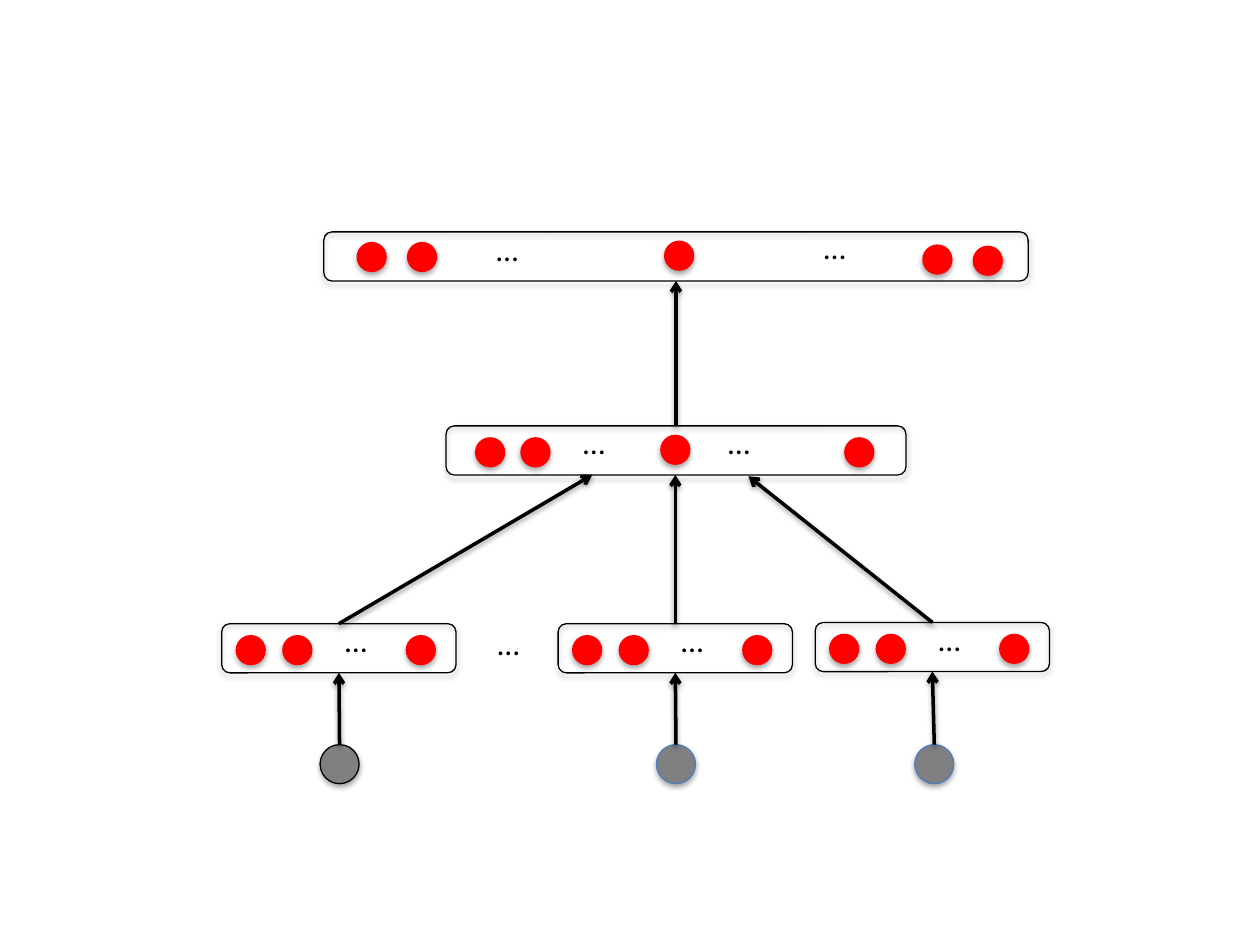
from lxml import etree
from pptx import Presentation
from pptx.dml.color import RGBColor
from pptx.enum.shapes import MSO_CONNECTOR, MSO_SHAPE
from pptx.enum.text import MSO_AUTO_SIZE
from pptx.oxml.ns import qn
from pptx.util import Inches, Pt

ROUNDED, OVAL = MSO_SHAPE.ROUNDED_RECTANGLE, MSO_SHAPE.OVAL
STRAIGHT = MSO_CONNECTOR.STRAIGHT
GROW = MSO_AUTO_SIZE.SHAPE_TO_FIT_TEXT

COLORS = {"ink": "000000", "unit": "FF0000", "input": "808080", "rim": "4B7EBC"}
LAYER_H, UNIT, INPUT = 0.39, 0.24, 0.31
DOTS_W, DOTS_H = 0.38, 0.4
INPUT_TOP = 5.91

# Offsets (x, y) of units and ellipses from the layer's left top corner
WORD_UNITS = [(0.11, 0.09), (0.48, 0.09), (1.46, 0.09)]
WORD_DOTS = [(0.88, -0.07)]
WORD_W = 1.86
WORDS = [  # layer left, layer top, input left, input rim, arrow end above
    (1.76, 4.95, 2.54, "ink", (4.7, 3.77)),
    (4.43, 4.95, 5.21, "rim", (5.36, 3.77)),
    (6.47, 4.94, 7.26, "rim", (5.94, 3.78)),
]
HIDDEN = (3.54, 3.38, 3.65,
          [(0.23, 0.09), (0.59, 0.09), (1.7, 0.07), (3.16, 0.09)],
          [(0.99, -0.07), (2.14, -0.07)])
OUTPUT = (2.57, 1.84, 5.59,
          [(0.26, 0.08), (0.66, 0.08), (2.7, 0.07), (4.75, 0.1), (5.15, 0.11)],
          [(1.27, -0.06), (3.87, -0.08)])
BETWEEN_WORDS = (3.85, 4.9)

prs = Presentation()
prs.slide_width, prs.slide_height = Inches(10), Inches(7.5)
s = prs.slides.add_slide(prs.slide_layouts[6])


def rgb(name):
    return RGBColor.from_string(COLORS[name])


def add_shadow(sp, dist, opacity):
    effects = etree.SubElement(sp._element.spPr, qn("a:effectLst"))
    shadow = etree.SubElement(effects, qn("a:outerShdw"), blurRad=str(Pt(3.1)),
                              dist=str(Pt(dist)), dir="5400000", rotWithShape="0")
    color = etree.SubElement(shadow, qn("a:srgbClr"), val=COLORS["ink"])
    etree.SubElement(color, qn("a:alpha"), val=str(opacity * 1000))


def add_figure(kind, x, y, w, h, fill=None, line=None):
    sp = s.shapes.add_shape(kind, Inches(x), Inches(y), Inches(w), Inches(h))
    if fill:
        sp.fill.solid()
        sp.fill.fore_color.rgb = rgb(fill)
    else:
        sp.fill.background()
    if line:
        sp.line.color.rgb = rgb(line)
        sp.line.width = Pt(0.75)
    else:
        sp.line.fill.background()
    add_shadow(sp, 1.8, 35)


def add_dots(x, y):
    box = s.shapes.add_textbox(Inches(x), Inches(y), Inches(DOTS_W), Inches(DOTS_H))
    tf = box.text_frame
    tf.word_wrap = False
    tf.auto_size = GROW
    r = tf.paragraphs[0].add_run()
    r.text = "…"
    r.font.name, r.font.size = "Calibri", Pt(18)
    r.font.color.rgb = rgb("ink")


def add_layer(left, top, width, units, dots):
    add_figure(ROUNDED, left, top, width, LAYER_H, line="ink")
    for dx, dy in units:
        add_figure(OVAL, left + dx, top + dy, UNIT, UNIT, fill="unit")
    for dx, dy in dots:
        add_dots(left + dx, top + dy)


def add_arrow(start, end):
    c = s.shapes.add_connector(STRAIGHT, *map(Inches, start + end))
    c.line.color.rgb = rgb("ink")
    c.line.width = Pt(2)
    etree.SubElement(c.line._get_or_add_ln(), qn("a:tailEnd"), type="arrow")
    add_shadow(c, 1.6, 38)


for left, top, input_left, rim, target in WORDS:
    add_layer(left, top, WORD_W, WORD_UNITS, WORD_DOTS)
    add_figure(OVAL, input_left, INPUT_TOP, INPUT, INPUT, fill="input", line=rim)
    middle = left + WORD_W / 2
    add_arrow((input_left + INPUT / 2, INPUT_TOP), (middle, top + LAYER_H))
    add_arrow((middle, top), target)
add_dots(*BETWEEN_WORDS)

add_layer(*HIDDEN)
add_layer(*OUTPUT)
center = HIDDEN[0] + HIDDEN[2] / 2
add_arrow((center, HIDDEN[1]), (center, OUTPUT[1] + LAYER_H))

prs.save("out.pptx")
